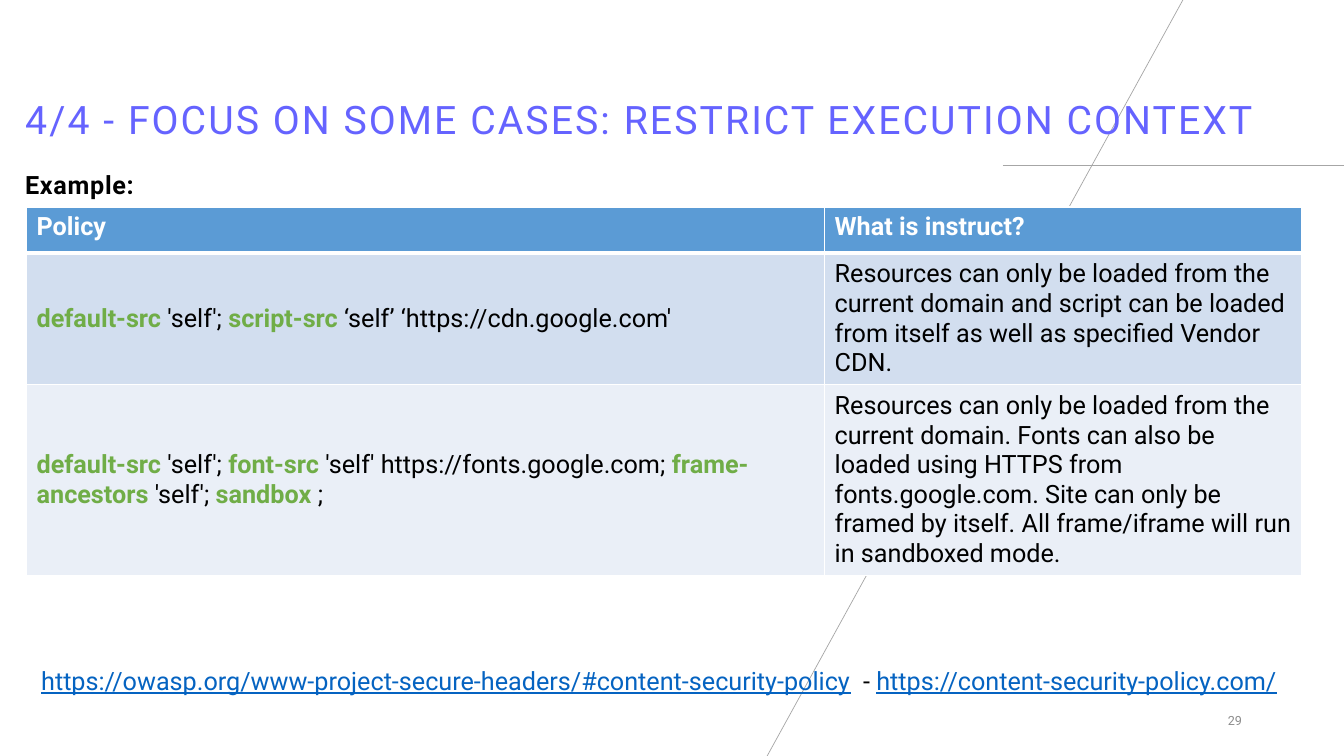
from dataclasses import dataclass

from lxml import etree
from pptx import Presentation
from pptx.dml import color
from pptx.enum import shapes, text
from pptx.oxml import ns
from pptx.util import Pt


@dataclass(frozen=True)
class Theme:
    font: str = "Roboto"
    title: str = "6563FF"
    ink: str = "000000"
    white: str = "FFFFFF"
    key: str = "70AD47"
    link: str = "0563C1"
    rule: str = "A6A6A6"
    muted: str = "8C8C8C"
    head: str = "5B9BD5"
    bands: tuple = ("D2DEEF", "EAEFF7")
    large: int = 28
    body: int = 18
    small: int = 9


THEME = Theme()
HEADS = ("Policy", "What is instruct?")
ROWS = (
    (
        (("default-src", True), (" 'self'; ", False), ("script-src", True),
         (" ‘self’ ‘https://cdn.google.com'", False)),
        "Resources can only be loaded from the current domain and script can be "
        "loaded from itself as well as specified Vendor CDN.",
    ),
    (
        (("default-src", True), (" 'self'; ", False), ("font-src", True),
         (" 'self' https://fonts.google.com; ", False), ("frame-ancestors", True),
         (" 'self'; ", False), ("sandbox ", True), (";", False)),
        "Resources can only be loaded from the current domain. Fonts can also be "
        "loaded using HTTPS from fonts.google.com. Site can only be framed by "
        "itself. All frame/iframe will run in sandboxed mode.",
    ),
)


def rgb(tone):
    return color.RGBColor.from_string(tone)


def add_run(para, words, tone=THEME.ink, size=THEME.body, bold=False,
            under=False, space=0):
    run = para.add_run()
    run.text = words
    font = run.font
    font.name, font.size, font.bold = THEME.font, Pt(size), bold
    font.underline = under
    font.color.rgb = rgb(tone)
    if space:
        run._r.get_or_add_rPr().set("spc", str(round(space * 100)))


def place(shape, left, top, width, height):
    shape.left, shape.top = Pt(left), Pt(top)
    shape.width, shape.height = Pt(width), Pt(height)


def add_title(slide, words):
    title = slide.shapes.title
    place(title, 10.8, 10.8, 922.3, 95)
    frame = title.text_frame
    frame.word_wrap = True
    frame.auto_size = text.MSO_AUTO_SIZE.NONE
    frame.vertical_anchor = text.MSO_ANCHOR.BOTTOM
    para = frame.paragraphs[0]
    para.alignment = text.PP_ALIGN.LEFT
    para.line_spacing = 0.9
    add_run(para, words, THEME.title, THEME.large, space=1.5)
    slide.shapes._spTree.append(title._element)


def add_box(slide, left, top, width, height):
    frame = slide.shapes.add_textbox(
        Pt(left), Pt(top), Pt(width), Pt(height)).text_frame
    frame.word_wrap = True
    return frame


def add_rule(slide, start, end):
    line = slide.shapes.add_connector(
        shapes.MSO_CONNECTOR.STRAIGHT, *map(Pt, start + end))
    line.line.color.rgb = rgb(THEME.rule)
    line.line.width = Pt(0.5)
    etree.SubElement(line._element.spPr, ns.qn("a:effectLst"))


def set_edges(cell, base):
    props = cell._tc.get_or_add_tcPr()
    widths = (("lnL", 1), ("lnR", 1), ("lnT", 1), ("lnB", base))
    for spot, (side, width) in enumerate(widths):
        edge = etree.Element(ns.qn("a:" + side), w=str(Pt(width)))
        fill = etree.SubElement(edge, ns.qn("a:solidFill"))
        etree.SubElement(fill, ns.qn("a:srgbClr"), val=THEME.white)
        props.insert(spot, edge)


def style_cell(cell, fill, base=1, anchor=text.MSO_ANCHOR.MIDDLE):
    cell.fill.solid()
    cell.fill.fore_color.rgb = rgb(fill)
    cell.vertical_anchor = anchor
    set_edges(cell, base)
    return cell.text_frame.paragraphs[0]


def add_grid(slide):
    widths, heights = (570, 340.8), (33, 91.5, 133.5)
    grid = slide.shapes.add_table(
        len(heights), len(widths), Pt(19), Pt(147.8),
        Pt(sum(widths)), Pt(sum(heights))).table
    for col, width in zip(grid.columns, widths):
        col.width = Pt(width)
    for row, height in zip(grid.rows, heights):
        row.height = Pt(height)
    for col, words in enumerate(HEADS):
        para = style_cell(grid.cell(0, col), THEME.head, 3, text.MSO_ANCHOR.TOP)
        add_run(para, words, THEME.white, bold=True)
    for row, ((policy, note), band) in enumerate(zip(ROWS, THEME.bands), 1):
        para = style_cell(grid.cell(row, 0), band)
        for words, key in policy:
            add_run(para, words, THEME.key if key else THEME.ink, bold=key)
        add_run(style_cell(grid.cell(row, 1), band), note)


def add_links(slide):
    para = add_box(slide, 22.3, 471.6, 937.5, 29).paragraphs[0]
    add_run(para, "https://owasp.org/www-project-secure-headers/"
            "#content-security-policy", THEME.link, under=True)
    add_run(para, "  - ")
    add_run(para, "https://content-security-policy.com/", THEME.link, under=True)


def add_number(slide, words):
    frame = add_box(slide, 678.2, 500.4, 216, 28.8)
    frame.vertical_anchor = text.MSO_ANCHOR.MIDDLE
    para = frame.paragraphs[0]
    para.alignment = text.PP_ALIGN.RIGHT
    add_run(para, words, THEME.muted, THEME.small)


def main():
    deck = Presentation()
    deck.slide_width, deck.slide_height = Pt(960), Pt(540)
    slide = deck.slides.add_slide(deck.slide_layouts.get_by_name("Title Only"))
    add_rule(slide, (716.4, 118.1), (960, 118.1))
    add_rule(slide, (846, -2), (547.2, 541.4))
    add_title(slide, "4/4 - FOCUS ON SOME CASES: RESTRICT EXECUTION CONTEXT")
    label = add_box(slide, 10.8, 117.4, 927.4, 30)
    add_run(label.paragraphs[0], "Example:", bold=True, space=0.5)
    add_number(slide, "29")
    add_grid(slide)
    add_links(slide)
    deck.save("out.pptx")


if __name__ == "__main__":
    main()
